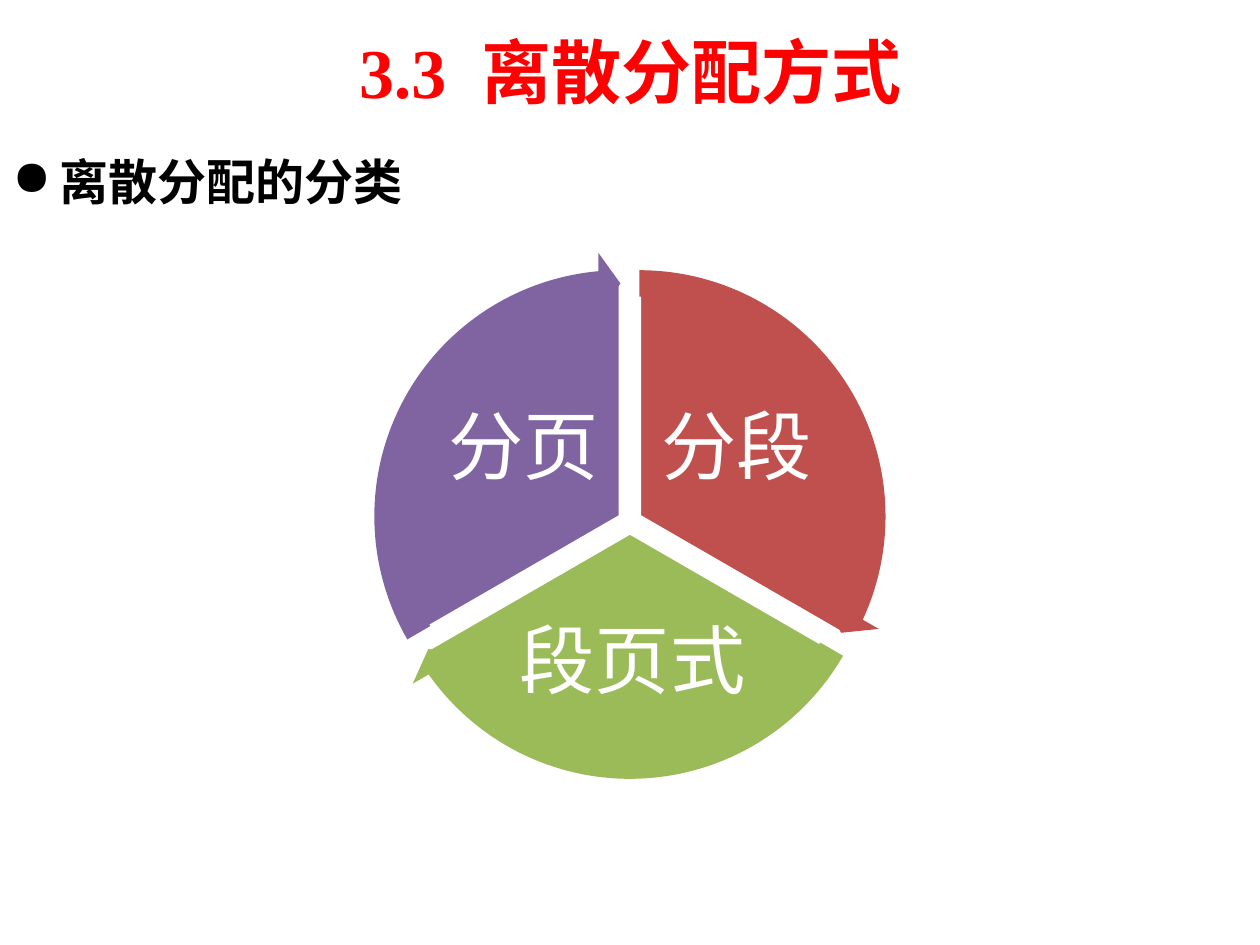
from dataclasses import dataclass
from math import cos, radians, sin

from lxml import etree
from pptx import Presentation
from pptx.dml.color import RGBColor
from pptx.enum.shapes import MSO_SHAPE
from pptx.enum.text import MSO_ANCHOR, PP_ALIGN
from pptx.oxml.ns import qn
from pptx.util import Cm, Pt

PIE = MSO_SHAPE.PIE
CIRCULAR_ARROW = MSO_SHAPE.CIRCULAR_ARROW
MIDDLE, TOP = MSO_ANCHOR.MIDDLE, MSO_ANCHOR.TOP
CENTER, LEFT = PP_ALIGN.CENTER, PP_ALIGN.LEFT

CYCLE_X, CYCLE_Y = 12.7, 10.52
SECTOR_OFFSET = 0.22
PIE_SIZE, ARROW_SIZE = 9.47, 10.67
SECTOR_ANGLE = 120
ARROWHEAD_ANGLE = 5.46
ARROW_THICKNESS, ARROWHEAD_WIDTH = 0.05, 0.06


@dataclass(frozen=True)
class Theme:
    red: str = "C0504D"
    green: str = "9BBB59"
    purple: str = "8064A2"
    white: str = "FFFFFF"
    black: str = "000000"
    title_color: str = "FE0000"
    title_font: str = "Times New Roman"
    body_font: str = "Arial"
    label_font: str = "Calibri"
    title_size: int = 40
    body_size: int = 28
    label_size: int = 43
    outline_width: int = 2


def angle_adjustment(degrees):
    """Convert degrees to the scale that shape adjustments use."""
    return degrees % 360 * 0.6


class SlideBuilder:
    def __init__(self, slide, theme):
        self.slide = slide
        self.theme = theme

    def text_box(self, shapes, box, text, font, anchor=MIDDLE, align=CENTER, inset=None):
        frame = shapes.add_textbox(*map(Cm, box)).text_frame
        frame.word_wrap = True
        frame.vertical_anchor = anchor
        if inset is not None:
            frame.margin_left = frame.margin_right = Cm(inset)
            frame.margin_top = frame.margin_bottom = Cm(inset)
        paragraph = frame.paragraphs[0]
        paragraph.alignment = align
        paragraph.add_run().text = text
        name, size, color, bold = font
        paragraph.font.name = name
        paragraph.font.size = Pt(size)
        paragraph.font.bold = bold
        paragraph.font.color.rgb = RGBColor.from_string(color)
        return paragraph

    def title(self, number, text):
        theme = self.theme
        font = (theme.title_font, theme.title_size, theme.title_color, True)
        paragraph = self.text_box(self.slide.shapes, (1.27, 0.13, 22.86, 2.59), number, font)
        gap = paragraph.add_run()
        gap.text = " "
        gap._r.get_or_add_rPr().set("spc", "1000")
        paragraph.add_run().text = text

    def bullet(self, text):
        theme = self.theme
        font = (theme.body_font, theme.body_size, theme.black, True)
        paragraph = self.text_box(self.slide.shapes, (0, 2.92, 24.89, 14.6), text, font, TOP, LEFT)
        properties = paragraph._p.get_or_add_pPr()
        properties.set("marL", str(Cm(0.95)))
        properties.set("indent", str(Cm(-0.95)))
        mark = etree.Element(qn("a:buChar"), char="●")
        properties.insert(0, mark)

    def round_shape(self, shapes, kind, center, size, color, adjustments):
        left, top = (position - size / 2 for position in center)
        shape = shapes.add_shape(kind, Cm(left), Cm(top), Cm(size), Cm(size))
        shape.shadow.inherit = False
        for index, value in enumerate(adjustments):
            shape.adjustments[index] = value
        shape.fill.solid()
        shape.fill.fore_color.rgb = RGBColor.from_string(color)
        shape.line.fill.background()
        return shape

    def pie(self, shapes, center, color, start):
        angles = [angle_adjustment(start), angle_adjustment(start + SECTOR_ANGLE)]
        shape = self.round_shape(shapes, PIE, center, PIE_SIZE, color, angles)
        shape.line.color.rgb = RGBColor.from_string(self.theme.white)
        shape.line.width = Pt(self.theme.outline_width)

    def arrow(self, shapes, center, color, start):
        end = start + SECTOR_ANGLE - ARROWHEAD_ANGLE
        adjustments = [
            ARROW_THICKNESS,
            angle_adjustment(ARROWHEAD_ANGLE),
            angle_adjustment(end),
            angle_adjustment(start),
            ARROWHEAD_WIDTH,
        ]
        self.round_shape(shapes, CIRCULAR_ARROW, center, ARROW_SIZE, color, adjustments)

    def label(self, shapes, text, offset, size):
        theme = self.theme
        width, height = size
        left = CYCLE_X + offset[0] - width / 2
        top = CYCLE_Y + offset[1] - height / 2
        font = (theme.label_font, theme.label_size, theme.white, False)
        paragraph = self.text_box(shapes, (left, top, width, height), text, font, inset=0.15)
        paragraph.line_spacing = 0.9

    def cycle(self, sectors):
        """Draw the sectors clockwise from the top, then the arrows around them."""
        shapes = self.slide.shapes.add_group_shape().shapes
        arrows = []
        for index, (text, color, offset, size) in enumerate(sectors):
            start = -90 + index * SECTOR_ANGLE
            bisector = radians(start + SECTOR_ANGLE / 2)
            center = (
                CYCLE_X + SECTOR_OFFSET * cos(bisector),
                CYCLE_Y + SECTOR_OFFSET * sin(bisector),
            )
            self.pie(shapes, center, color, start)
            self.label(shapes, text, offset, size)
            arrows.append((center, color, start))
        for arrow in arrows:
            self.arrow(shapes, *arrow)


def main():
    presentation = Presentation()
    presentation.slide_width, presentation.slide_height = Cm(25.4), Cm(19.05)
    slide = presentation.slides.add_slide(presentation.slide_layouts[6])
    theme = Theme()
    builder = SlideBuilder(slide, theme)
    builder.bullet("离散分配的分类")
    builder.title("3.3", "离散分配方式")
    builder.cycle([
        ("分段", theme.red, (2.15, -1.44), (3.38, 2.82)),
        ("段页式", theme.green, (0.05, 2.87), (5.08, 2.49)),
        ("分页", theme.purple, (-2.15, -1.44), (3.38, 2.82)),
    ])
    presentation.save("out.pptx")


if __name__ == "__main__":
    main()
